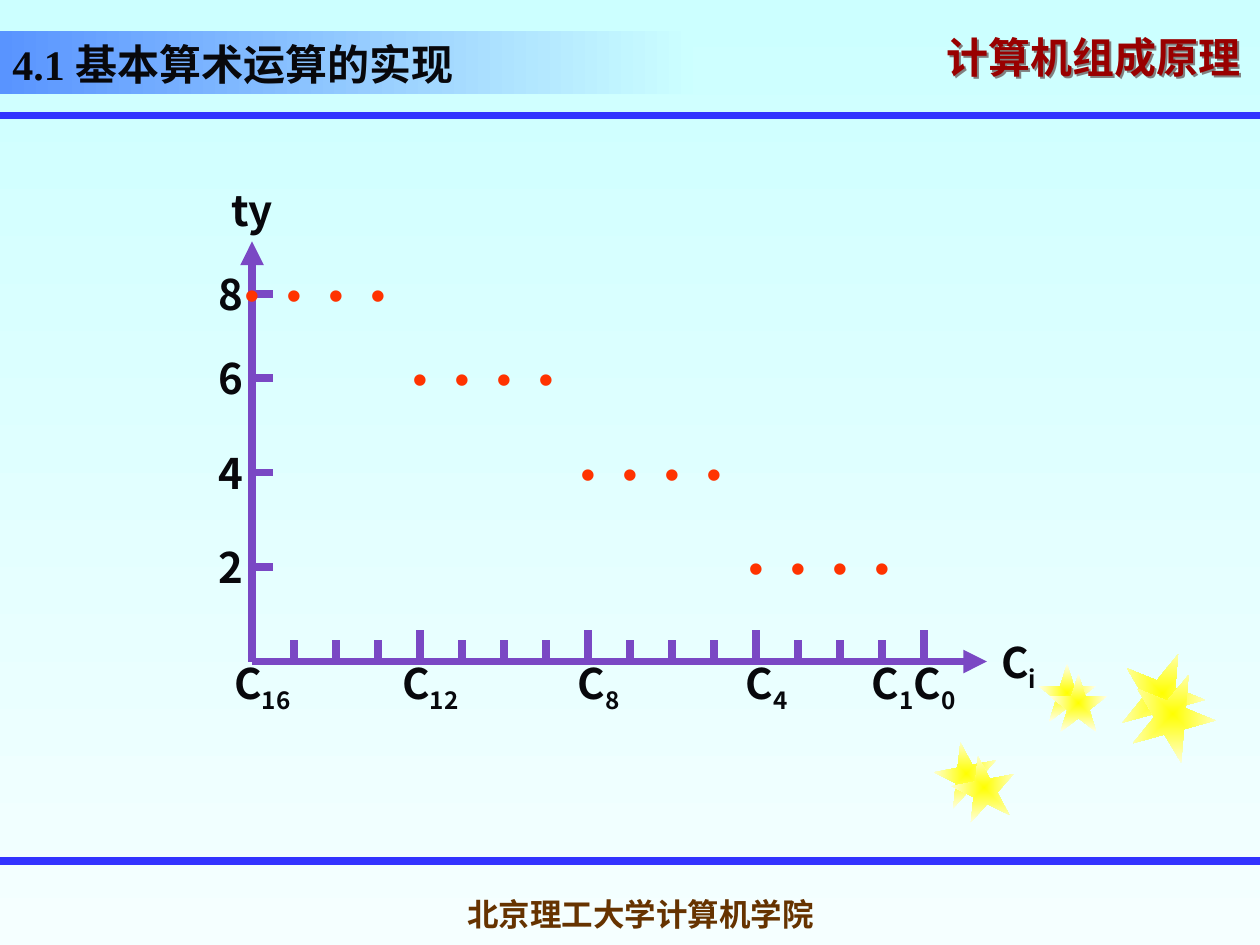
"""Build the slide that plots carry delay ty against carry Ci."""
import pptx
import pptx.dml.color
import pptx.enum.shapes
import pptx.enum.text
import pptx.oxml.ns
import pptx.util
from lxml import etree

THEME = {
    "sans": "Noto Sans CJK SC", "serif": "Times New Roman", "dot_font": "Arial",
    "large": 24, "small": 18, "line": 4.5,
    "ink": "08080C", "course": "990000", "school": "663300",
    "rule": "3333FF", "axis": "7A48C4", "dot": "FF3300", "shadow": "808080",
    "background": ("CCFFFF", "F5FFFF"), "title": ("5994FF", "CCFFFF"),
    "star": ("FFFF00", "FFFFE9"),
}
COURSE = "计算机组成原理"
SCHOOL = "北京理工大学计算机学院"
TITLE = ("4.1 ", "基本算术运算的实现")
LEVEL_ROWS = {8: 28, 6: 36, 4: 45, 2: 54}
CARRY_LABELS = (16, 12, 8, 4, 1, 0)
LAST_CARRY, GROUP = 16, 4
STARS = [
    (89.04, 70.68, 6, 349), (98.88, 63.24, 5.5, 0), (106.7, 62.04, 8, 22),
    (90.72, 72, 6, 349), (99.96, 64.2, 5.5, 0), (107.7, 64, 8, 22),
]
COLUMNS, ROWS = 120, 90
ORIGIN_X, ORIGIN_Y, STEP = 24, 63, 4
RULE_ROWS = (11, 82)

ALIGN = pptx.enum.text.PP_ALIGN
ANCHOR = pptx.enum.text.MSO_ANCHOR
SHAPE = pptx.enum.shapes.MSO_SHAPE
qn = pptx.oxml.ns.qn

presentation = pptx.Presentation()
presentation.slide_width = pptx.util.Inches(10)
presentation.slide_height = pptx.util.Inches(7.5)
slide = presentation.slides.add_slide(presentation.slide_layouts[6])


def cells(*values):
    return [round(value * presentation.slide_width / COLUMNS) for value in values]


def rgb(name):
    return pptx.dml.color.RGBColor.from_string(name)


def set_gradient(fill, colors, angle=0):
    fill.gradient()
    fill.gradient_angle = angle
    for stop, color in zip(fill.gradient_stops, colors):
        stop.color.rgb = rgb(color)


def add_filled(kind, box, colors):
    shape = slide.shapes.add_shape(kind, *cells(*box))
    shape.shadow.inherit = False
    shape.line.fill.background()
    set_gradient(shape.fill, colors)
    return shape


def write(shape, runs, color, font, size=THEME["large"], bold=True,
          align=ALIGN.CENTER, anchor=ANCHOR.TOP, wrap=True, spacing=None):
    frame = shape.text_frame
    frame.word_wrap = wrap
    frame.vertical_anchor = anchor
    paragraph = frame.paragraphs[0]
    paragraph.alignment = align
    if spacing:
        paragraph.line_spacing = spacing
    paragraph.font.size = pptx.util.Pt(size)
    paragraph.font.bold = bold
    paragraph.font.color.rgb = rgb(color)
    paragraph.font.name = font
    east_asian = etree.SubElement(paragraph._p.pPr.find(qn("a:defRPr")), qn("a:ea"))
    east_asian.set("typeface", THEME["sans"])
    for text in runs:
        paragraph.add_run().text = text
    return paragraph


def add_text(box, runs, color, font, **options):
    shape = slide.shapes.add_textbox(*cells(*box))
    write(shape, runs, color, font, **options)
    return shape


def add_label(left, top, width, text, subscript="", color=THEME["ink"],
              font=THEME["sans"], bold=True):
    runs = [text, subscript] if subscript else [text]
    shape = add_text((left, top, width, 6.7 if subscript else 6), runs, color, font, bold=bold)
    shape.text_frame.auto_size = pptx.enum.text.MSO_AUTO_SIZE.SHAPE_TO_FIT_TEXT
    if subscript:
        run = shape.text_frame.paragraphs[0].runs[1]
        run._r.get_or_add_rPr().set("baseline", "-25000")


def add_line(start_x, start_y, end_x, end_y, color=THEME["axis"], arrow=False):
    straight = pptx.enum.shapes.MSO_CONNECTOR.STRAIGHT
    connector = slide.shapes.add_connector(straight, *cells(start_x, start_y, end_x, end_y))
    connector.line.color.rgb = rgb(color)
    connector.line.width = pptx.util.Pt(THEME["line"])
    properties = connector._element.spPr
    if arrow:
        etree.SubElement(properties.find(qn("a:ln")), qn("a:tailEnd")).set("type", "triangle")
    etree.SubElement(properties, qn("a:effectLst"))


def add_star(left, top, size, rotation):
    star = add_filled(SHAPE.STAR_5_POINT, (left, top, size, size), THEME["star"])
    star.rotation = rotation
    gradient = star._element.spPr.find(qn("a:gradFill"))
    gradient.remove(gradient.find(qn("a:lin")))
    center = etree.SubElement(gradient, qn("a:path"))
    center.set("path", "rect")
    focus = etree.SubElement(center, qn("a:fillToRect"))
    for side in "ltrb":
        focus.set(side, "50000")


def add_text_shadow(shape):
    effects = etree.SubElement(shape._element.spPr, qn("a:effectLst"))
    shadow = etree.SubElement(effects, qn("a:outerShdw"))
    shadow.set("dist", str(pptx.util.Pt(1.5)))
    shadow.set("dir", "2700000")
    etree.SubElement(shadow, qn("a:srgbClr")).set("val", THEME["shadow"])


def carry_x(carry):
    return ORIGIN_X + STEP * (LAST_CARRY - carry)


def add_frame():
    set_gradient(slide.background.fill, THEME["background"], 270)
    course = add_text((89, 3, 31, 6), [COURSE], THEME["course"], THEME["sans"],
                      align=ALIGN.LEFT, anchor=ANCHOR.MIDDLE, spacing=0.7)
    add_text_shadow(course)
    for row in RULE_ROWS:
        add_line(0, row, COLUMNS, row, THEME["rule"])
    for star in STARS:
        add_star(*star)
    add_text((42, 84, 38, 6), [SCHOOL], THEME["school"], THEME["serif"],
             size=THEME["small"], anchor=ANCHOR.MIDDLE, wrap=False)
    title = add_filled(SHAPE.RECTANGLE, (0, 3, 66, 6), THEME["title"])
    paragraph = write(title, TITLE, THEME["ink"], THEME["serif"],
                      align=ALIGN.JUSTIFY, anchor=ANCHOR.BOTTOM, spacing=0.8)
    paragraph.runs[1].font.name = THEME["sans"]


def add_plot():
    add_line(ORIGIN_X, ORIGIN_Y, 94, ORIGIN_Y, arrow=True)
    add_line(ORIGIN_X, ORIGIN_Y, ORIGIN_X, 23, arrow=True)
    for carry in range(LAST_CARRY):
        height = 2 if carry % GROUP else 3
        add_line(carry_x(carry), ORIGIN_Y - height, carry_x(carry), ORIGIN_Y)
    for carry in CARRY_LABELS:
        add_label(carry_x(carry) - 6, ORIGIN_Y - 1, 14, "C", str(carry))
    add_label(90, 60, 14, "C", "i")
    add_label(17, 17, 14, "ty")
    for group, (delay, row) in enumerate(LEVEL_ROWS.items()):
        add_line(ORIGIN_X, row, ORIGIN_X + 2, row)
        add_label(19, row - 3, 6, str(delay))
        first = LAST_CARRY - GROUP * group
        for carry in range(first, first - GROUP, -1):
            add_label(carry_x(carry) - 5, row - 3, 10, "•", color=THEME["dot"],
                      font=THEME["dot_font"], bold=False)


add_frame()
add_plot()
presentation.save("out.pptx")
